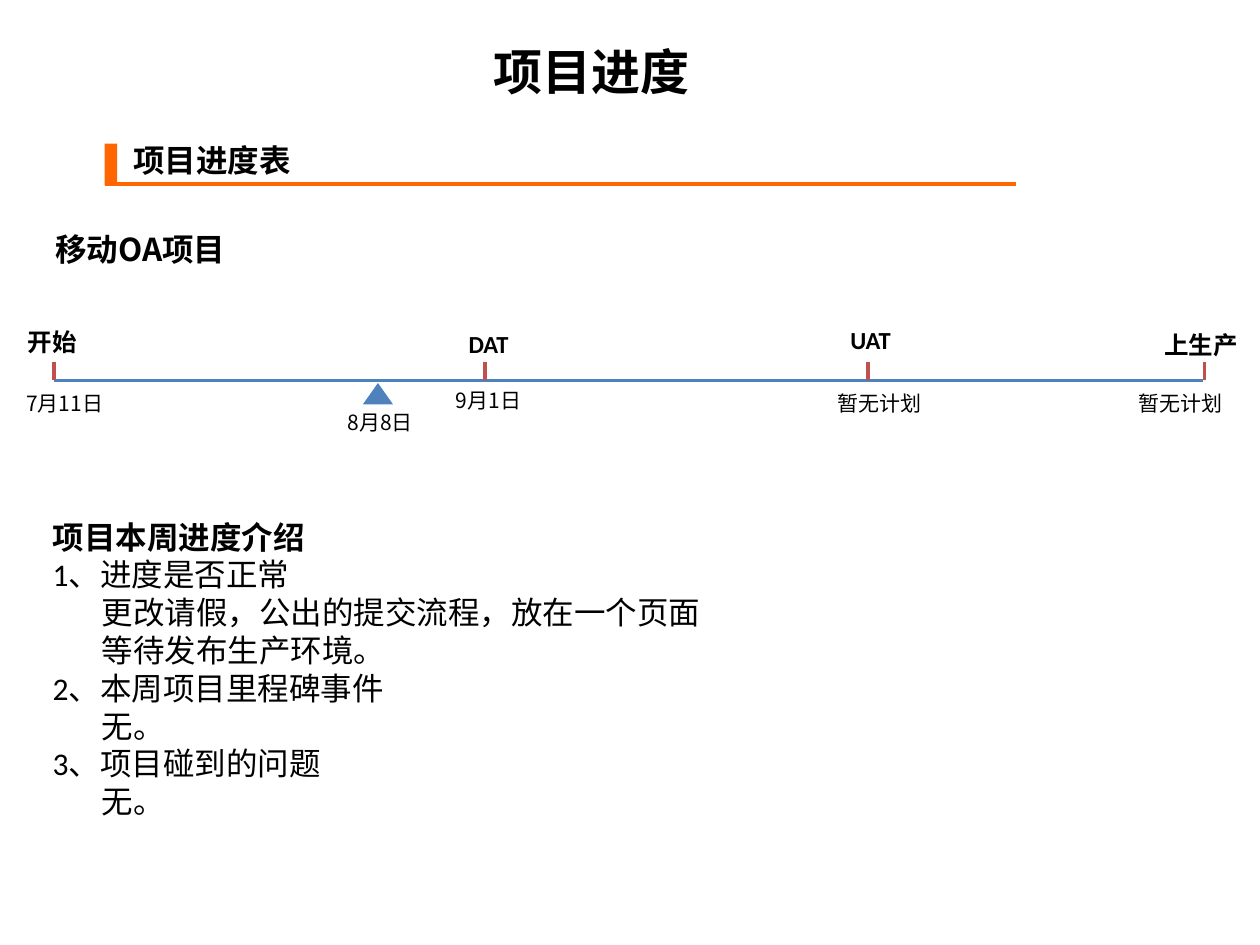
import pptx
import pptx.util
import pptx.dml.color
import pptx.enum.shapes
import pptx.enum.text
import pptx.oxml.ns
from lxml import etree

Inches, Pt = pptx.util.Inches, pptx.util.Pt
SHAPE = pptx.enum.shapes.MSO_SHAPE
CJK = "Noto Sans CJK SC"
LATIN = "Calibri"
ORANGE, BLUE, RED, BLACK = "FF6600", "4F81BD", "C0504D", "000000"


def color(value):
    return pptx.dml.color.RGBColor.from_string(value)


def style(p, size, bold=False, font=CJK):
    p.alignment = pptx.enum.text.PP_ALIGN.LEFT
    f = p.font
    f.name, f.size, f.bold = font, Pt(size), bold
    f.color.rgb = color(BLACK)


def add_text(s, box, text, size, bold=False, font=CJK):
    tf = s.shapes.add_textbox(*map(Inches, box)).text_frame
    tf.word_wrap = True
    tf.text = text
    for p in tf.paragraphs:
        style(p, size, bold, font)
    return tf


def add_line(s, start, end, line_color, width):
    line = s.shapes.add_connector(
        pptx.enum.shapes.MSO_CONNECTOR.STRAIGHT,
        *map(Inches, start + end))
    line.line.color.rgb = color(line_color)
    line.line.width = Pt(width)
    sp_pr = line._element.spPr
    etree.SubElement(sp_pr, pptx.oxml.ns.qn("a:effectLst"))


def add_block(s, kind, box, fill):
    sp = s.shapes.add_shape(kind, *map(Inches, box))
    sp.shadow.inherit = False
    sp.fill.solid()
    sp.fill.fore_color.rgb = color(fill)
    sp.line.fill.background()


def set_title(s, box, text):
    sp = s.shapes.title
    sp.left, sp.top, sp.width, sp.height = map(Inches, box)
    tf = sp.text_frame
    tf.text = text
    tf.vertical_anchor = pptx.enum.text.MSO_ANCHOR.TOP
    style(tf.paragraphs[0], 28, True)


def add_section_header(s, box, text):
    left, top, width, height = box
    bottom = top + height
    add_text(s, (left + 0.13, top - 0.07, 2.44, 0.4), text, 18, True)
    add_line(s, (left, bottom - 0.01), (left + width, bottom - 0.01),
             ORANGE, 2.25)
    add_block(s, SHAPE.RECTANGLE, (left, top, 0.1, height), ORANGE)


def add_timeline(s, box, milestones, today):
    left, top, width, height = box
    axis = top + height
    add_line(s, (left, axis), (left + width, axis), BLUE, 2)

    # Milestones: tick, name above, date below
    for x, name, name_box, date, date_box in milestones:
        add_line(s, (x, axis), (x, axis - 0.15), RED, 2)
        name_left, name_top, name_width = name_box
        add_text(s, (name_left, top + name_top, name_width, 0.34),
                 name, 14, True, LATIN)
        date_left, date_gap, date_width = date_box
        add_text(s, (date_left, axis + date_gap, date_width, 0.3), date, 12)

    # Marker for the current date
    x, date = today
    add_block(s, SHAPE.ISOSCELES_TRIANGLE,
              (x - 0.12, axis + 0.02, 0.24, 0.17), BLUE)
    add_text(s, (x - 0.34, axis + 0.18, 0.86, 0.3), date, 12)


def add_report(s, box, heading, items):
    lines = [heading]
    for number, (item, details) in enumerate(items, 1):
        lines += [f"{number}、{item}"] + details
    tf = add_text(s, box, "\n".join(lines), 18, font=LATIN)
    tf.paragraphs[0].font.bold = True
    details = {d for _, group in items for d in group}
    for p in tf.paragraphs:
        if p.text in details:
            p._p.get_or_add_pPr().set("marL", str(Inches(0.39)))


def main():
    prs = pptx.Presentation()
    prs.slide_width, prs.slide_height = Inches(10), Inches(7.5)
    s = prs.slides.add_slide(prs.slide_layouts.get_by_name("Title Only"))

    # Headings
    set_title(s, (3.82, 0.28, 1.81, 0.57), "项目进度")
    add_section_header(s, (0.83, 1.14, 7.23, 0.33), "项目进度表")
    add_text(s, (0.34, 1.78, 1.84, 0.4), "移动OA项目", 18, True)

    # Timeline: x, name, (left, offset, width), date, (left, gap, width)
    milestones = [
        (0.43, "开始", (0.12, 0.02, 0.63), "7月11日", (0.11, 0.03, 0.85)),
        (3.85, "DAT", (3.62, 0.03, 0.59), "9月1日", (3.52, 0.01, 0.84)),
        (6.89, "UAT", (6.65, 0, 0.63), "暂无计划", (6.55, 0.03, 0.97)),
        (9.56, "上生产", (9.14, 0.04, 0.86), "暂无计划", (8.94, 0.03, 1.05)),
    ]
    add_timeline(s, (0.43, 2.53, 9.12, 0.49), milestones, (3, "8月8日"))

    # Weekly report
    add_report(s, (0.32, 4.06, 9.09, 2.5), "项目本周进度介绍", [
        ("进度是否正常", ["更改请假，公出的提交流程，放在一个页面",
                    "等待发布生产环境。"]),
        ("本周项目里程碑事件", ["无。"]),
        ("项目碰到的问题", ["无。"]),
    ])
    prs.save("out.pptx")


if __name__ == "__main__":
    main()
